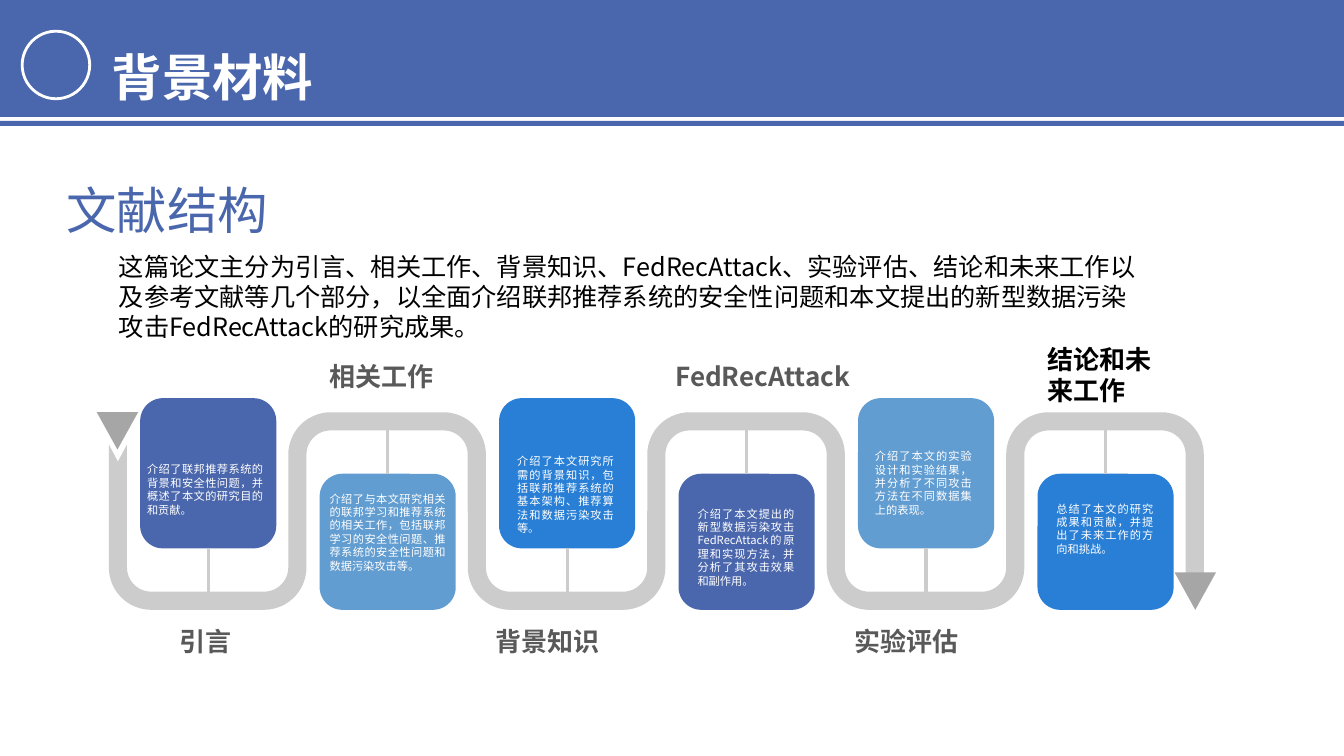
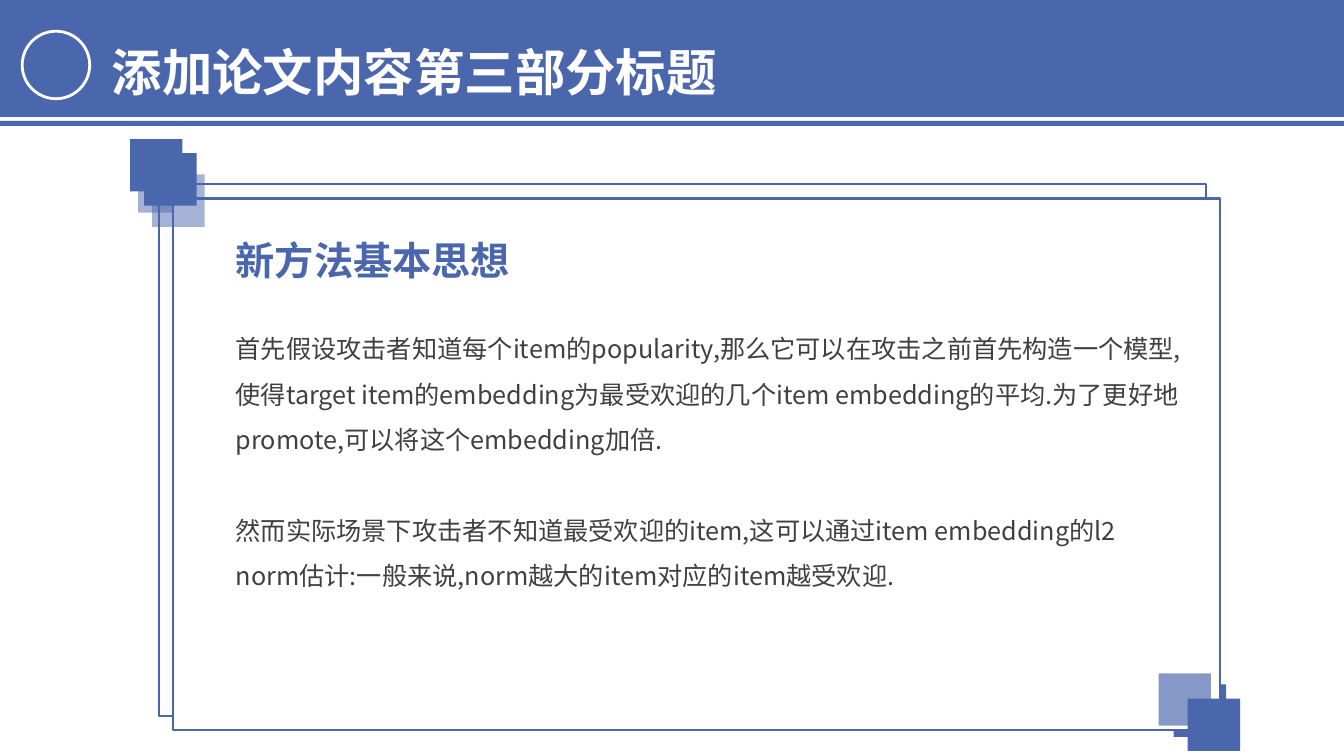
"""Build two slides: a paper's structure as a winding path, and a framed idea."""
import math
from dataclasses import dataclass

from lxml import etree
from pptx import Presentation
from pptx.dml.color import RGBColor
from pptx.enum.shapes import MSO_CONNECTOR, MSO_SHAPE
from pptx.enum.text import PP_ALIGN
from pptx.oxml.ns import qn
from pptx.shapes.autoshape import Shape
from pptx.slide import Slide
from pptx.util import Inches, Pt

RECTANGLE = MSO_SHAPE.RECTANGLE
ROUNDED = MSO_SHAPE.ROUNDED_RECTANGLE
OVAL = MSO_SHAPE.OVAL
DOWN_TRIANGLE = MSO_SHAPE.FLOWCHART_MERGE
STRAIGHT = MSO_CONNECTOR.STRAIGHT
LEFT = PP_ALIGN.LEFT
JUSTIFY = PP_ALIGN.JUSTIFY
TOP_SIDE, BOTTOM_SIDE = 0, 2

FONT = "Noto Sans CJK SC"
BLUE, SKY, BRIGHT = "4A66AC", "629DD1", "297FD5"
WHITE, BLACK, DARK, HEADING = "FFFFFF", "000000", "404040", "595959"
PATH_GRAY, ARROW_GRAY = "CCCCCC", "A6A6A6"

SLIDE_WIDTH, SLIDE_HEIGHT = 13.33, 7.5
PATH_TOP, PATH_MIDDLE, PATH_BOTTOM = 4.09, 5.07, 6.05
PATH_LEFT, BEND_WIDTH, PATH_THICKNESS, BEND_RADIUS = 1.08, 1.96, 0.18, 0.42
CARD_LEFT, CARD_PITCH, CARD_WIDTH = 1.39, 1.78, 1.35
STEM_TOP, STEM_BOTTOM = 4.23, 5.91
ARROW_WIDTH, ARROW_HEIGHT = 0.41, 0.37
SQUARE_SIZE, FRAME_SHIFT = 0.52, 0.14


@dataclass(frozen=True)
class Box:
    """Position and size in inches."""
    left: float
    top: float
    width: float
    height: float


@dataclass(frozen=True)
class TextStyle:
    """Look of one text block."""
    size: float
    color: str
    bold: bool = False
    align: PP_ALIGN = LEFT
    line_spacing: float = 1.0
    paragraph_gap: float = 0
    wrap: bool = True


@dataclass(frozen=True)
class Section:
    """One section of the paper with its heading and card."""
    heading: str
    heading_box: Box
    detail: str
    detail_box: Box
    color: str
    heading_color: str = HEADING


@dataclass(frozen=True)
class Bend:
    """One U-shaped piece of the path."""
    left: float
    outer_y: float
    left_end: float = PATH_MIDDLE
    right_end: float = PATH_MIDDLE
    notch: float = 0


@dataclass(frozen=True)
class Square:
    """Decorative square with its opacity in percent."""
    left: float
    top: float
    opacity: int = 100


TITLE = TextStyle(36, WHITE, bold=True, line_spacing=1.5)
SUBTITLE = TextStyle(36, BLUE, wrap=False)
SUMMARY = TextStyle(18, BLACK)
DETAIL = TextStyle(8, WHITE, align=JUSTIFY)
IDEA_HEADING = TextStyle(28, BLUE, bold=True)
IDEA_BODY = TextStyle(18, DARK, line_spacing=1.5, paragraph_gap=32.4)

SUMMARY_TEXT = (
    "这篇论文主分为引言、相关工作、背景知识、FedRecAttack、实验评估、结论和未来工作以及参考文献等几个部分，"
    "以全面介绍联邦推荐系统的安全性问题和本文提出的新型数据污染攻击FedRecAttack的研究成果。"
)
SECTIONS = [
    Section("引言", Box(1.68, 6.16, 0.72, 0.41),
            "介绍了联邦推荐系统的背景和安全性问题，并概述了本文的研究目的和贡献。",
            Box(1.36, 4.54, 1.35, 0.64), BLUE),
    Section("相关工作", Box(3.17, 3.53, 1.35, 0.41),
            "介绍了与本文研究相关的联邦学习和推荐系统的相关工作，包括联邦学习的安全性问题、"
            "推荐系统的安全性问题和数据污染攻击等。",
            Box(3.17, 4.83, 1.35, 0.91), SKY),
    Section("背景知识", Box(4.82, 6.16, 1.37, 0.41),
            "介绍了本文研究所需的背景知识，包括联邦推荐系统的基本架构、推荐算法和数据污染攻击等。",
            Box(5.03, 4.46, 1.16, 0.91), BRIGHT),
    Section("FedRecAttack", Box(6.6, 3.53, 1.98, 0.41),
            "介绍了本文提出的新型数据污染攻击FedRecAttack的原理和实现方法，并分析了其攻击效果和副作用。",
            Box(6.82, 4.98, 1.16, 0.91), BLUE),
    Section("实验评估", Box(8.38, 6.16, 1.6, 0.41),
            "介绍了本文的实验设计和实验结果，并分析了不同攻击方法在不同数据集上的表现。",
            Box(8.58, 4.41, 1.16, 0.77), SKY),
    Section("结论和未来工作", Box(10.29, 3.36, 1.34, 0.73),
            "总结了本文的研究成果和贡献，并提出了未来工作的方向和挑战。",
            Box(10.38, 4.93, 1.16, 0.64), BRIGHT, BLACK),
]
IDEA_PARAGRAPHS = [
    "首先假设攻击者知道每个item的popularity,那么它可以在攻击之前首先构造一个模型,"
    "使得target item的embedding为最受欢迎的几个item embedding的平均."
    "为了更好地promote,可以将这个embedding加倍.",
    "然而实际场景下攻击者不知道最受欢迎的item,这可以通过item embedding的l2 norm估计:"
    "一般来说,norm越大的item对应的item越受欢迎.",
]
FRAME_LAYERS = [
    [Square(11.64, 6.79), Square(1.29, 1.38), Square(1.37, 1.59, 50)],
    [Square(11.78, 6.93), Square(11.49, 6.68, 67), Square(1.43, 1.52),
     Square(1.51, 1.73, 50)],
]


def rgb(color: str) -> RGBColor:
    """Turn a hex string into a colour."""
    return RGBColor.from_string(color)


def paint(shape: Shape, fill: str, line: str = "", line_width: float = 0,
          opacity: int = 100) -> None:
    """Give a shape a flat fill and an optional outline."""
    shape.shadow.inherit = False
    shape.fill.solid()
    shape.fill.fore_color.rgb = rgb(fill)
    if opacity < 100:
        color = shape.element.spPr.find(qn("a:solidFill"))[0]
        etree.SubElement(color, qn("a:alpha"), val=str(opacity * 1000))
    if line:
        shape.line.color.rgb = rgb(line)
        shape.line.width = Pt(line_width)
    else:
        shape.line.fill.background()


def add_block(slide: Slide, kind: MSO_SHAPE, box: Box, fill: str, line: str = "",
              line_width: float = 0, opacity: int = 100) -> Shape:
    """Add a painted preset shape."""
    shape = slide.shapes.add_shape(kind, Inches(box.left), Inches(box.top),
                                   Inches(box.width), Inches(box.height))
    paint(shape, fill, line, line_width, opacity)
    return shape


def add_text(slide: Slide, box: Box, text: str, style: TextStyle) -> None:
    """Add a text box with one paragraph per line of text."""
    shape = slide.shapes.add_textbox(Inches(box.left), Inches(box.top),
                                     Inches(box.width), Inches(box.height))
    text_frame = shape.text_frame
    text_frame.word_wrap = style.wrap
    text_frame.text = text
    for index, paragraph in enumerate(text_frame.paragraphs):
        paragraph.alignment = style.align
        paragraph.line_spacing = style.line_spacing
        if index:
            paragraph.space_before = Pt(style.paragraph_gap)
        for run in paragraph.runs:
            run.font.size = Pt(style.size)
            run.font.bold = style.bold
            run.font.color.rgb = rgb(style.color)
            run.font.name = FONT
    for properties in shape.element.iter(qn("a:rPr")):
        etree.SubElement(properties, qn("a:ea"), typeface=FONT)


def add_titled_slide(presentation: Presentation, title: str, title_top: float) -> Slide:
    """Add a blank slide with the shared title band."""
    slide = presentation.slides.add_slide(presentation.slide_layouts[6])
    add_block(slide, RECTANGLE, Box(0, 0, SLIDE_WIDTH, 1.16), BLUE)
    add_block(slide, RECTANGLE, Box(0, 1.2, SLIDE_WIDTH, 0.05), BLUE)
    add_block(slide, OVAL, Box(0.22, 0.31, 0.67, 0.67), BLUE, WHITE, 2)
    add_text(slide, Box(1.01, title_top, 6.24, 1.01), title, TITLE)
    return slide


def bend_curve(bend: Bend, radius: float) -> list[tuple[float, float]]:
    """List the points of both rounded corners, from left to right."""
    direction = 1 if bend.left_end > bend.outer_y else -1
    left_center = bend.left + BEND_RADIUS
    right_center = bend.left + BEND_WIDTH - BEND_RADIUS
    center_y = bend.outer_y + direction * BEND_RADIUS
    points = []
    for center_x, first_angle in ((left_center, 0), (right_center, 90)):
        for angle in range(first_angle, first_angle + 91, 6):
            radians = math.radians(angle)
            points.append((center_x - radius * math.cos(radians),
                           center_y - direction * radius * math.sin(radians)))
    return points


def add_bend(slide: Slide, bend: Bend) -> None:
    """Draw one U-shaped piece of the path."""
    right = bend.left + BEND_WIDTH
    points = [
        (bend.left, bend.left_end),
        *bend_curve(bend, BEND_RADIUS),
        (right, bend.right_end),
        (right - PATH_THICKNESS, bend.right_end),
        *reversed(bend_curve(bend, BEND_RADIUS - PATH_THICKNESS)),
        (bend.left + PATH_THICKNESS, bend.left_end),
        (bend.left + PATH_THICKNESS / 2, bend.left_end + bend.notch),
    ]
    corners = [(Inches(x), Inches(y)) for x, y in points]
    builder = slide.shapes.build_freeform(*corners[0])
    builder.add_line_segments(corners[1:], close=True)
    paint(builder.convert_to_shape(), PATH_GRAY)


def add_path(slide: Slide) -> None:
    """Draw the winding path with its two arrowheads."""
    for index in range(6):
        left = PATH_LEFT + index * CARD_PITCH
        if index % 2:
            add_bend(slide, Bend(left, PATH_TOP, right_end=5.77 if index == 5 else PATH_MIDDLE))
        elif index:
            add_bend(slide, Bend(left, PATH_BOTTOM))
        else:
            add_bend(slide, Bend(left, PATH_BOTTOM, left_end=4.41, notch=0.17))
    for left, top in ((0.96, PATH_TOP), (11.65, PATH_BOTTOM - ARROW_HEIGHT)):
        add_block(slide, DOWN_TRIANGLE, Box(left, top, ARROW_WIDTH, ARROW_HEIGHT), ARROW_GRAY)


def add_section(slide: Slide, index: int, section: Section) -> None:
    """Draw a section's card, its stem to the path and its texts."""
    left = CARD_LEFT + index * CARD_PITCH
    if index % 2:
        box, side, stem_end = Box(left, 4.7, CARD_WIDTH, 1.35), TOP_SIDE, STEM_TOP
    else:
        box, side, stem_end = Box(left, 3.95, CARD_WIDTH, 1.49), BOTTOM_SIDE, STEM_BOTTOM
    card = add_block(slide, ROUNDED, box, section.color)
    center = Inches(left + CARD_WIDTH / 2)
    stem = slide.shapes.add_connector(STRAIGHT, center, Inches(PATH_MIDDLE),
                                      center, Inches(stem_end))
    stem.begin_connect(card, side)
    stem.line.color.rgb = rgb(PATH_GRAY)
    stem.line.width = Pt(2.25)
    etree.SubElement(stem.element.spPr, qn("a:effectLst"))
    add_text(slide, section.detail_box, section.detail, DETAIL)
    add_text(slide, section.heading_box, section.heading,
             TextStyle(18.6, section.heading_color, bold=True))


def build_structure_slide(presentation: Presentation) -> None:
    """Build the slide on the structure of the paper."""
    slide = add_titled_slide(presentation, "背景材料", 0.11)
    add_text(slide, Box(0.56, 1.73, 2.2, 0.71), "文献结构", SUBTITLE)
    add_path(slide)
    for index, section in enumerate(SECTIONS):
        add_section(slide, index, section)
    add_text(slide, Box(1.08, 2.44, 10.32, 1.01), SUMMARY_TEXT, SUMMARY)


def build_idea_slide(presentation: Presentation) -> None:
    """Build the slide on the basic idea of the method."""
    slide = add_titled_slide(presentation, "添加论文内容第三部分标题", 0.06)
    for index, squares in enumerate(FRAME_LAYERS):
        shift = index * FRAME_SHIFT
        add_block(slide, RECTANGLE, Box(1.58 + shift, 1.83 + shift, 10.38, 5.27),
                  WHITE, BLUE, 1.5)
        for square in squares:
            add_block(slide, RECTANGLE, Box(square.left, square.top, SQUARE_SIZE, SQUARE_SIZE),
                      BLUE, opacity=square.opacity)
    add_text(slide, Box(2.24, 3.11, 9.6, 2.83), "\n".join(IDEA_PARAGRAPHS), IDEA_BODY)
    add_text(slide, Box(2.24, 2.29, 4.79, 0.81), "新方法基本思想", IDEA_HEADING)


def main() -> None:
    """Build and save the presentation."""
    presentation = Presentation()
    presentation.slide_width = Inches(SLIDE_WIDTH)
    presentation.slide_height = Inches(SLIDE_HEIGHT)
    build_structure_slide(presentation)
    build_idea_slide(presentation)
    presentation.save("out.pptx")


if __name__ == "__main__":
    main()
